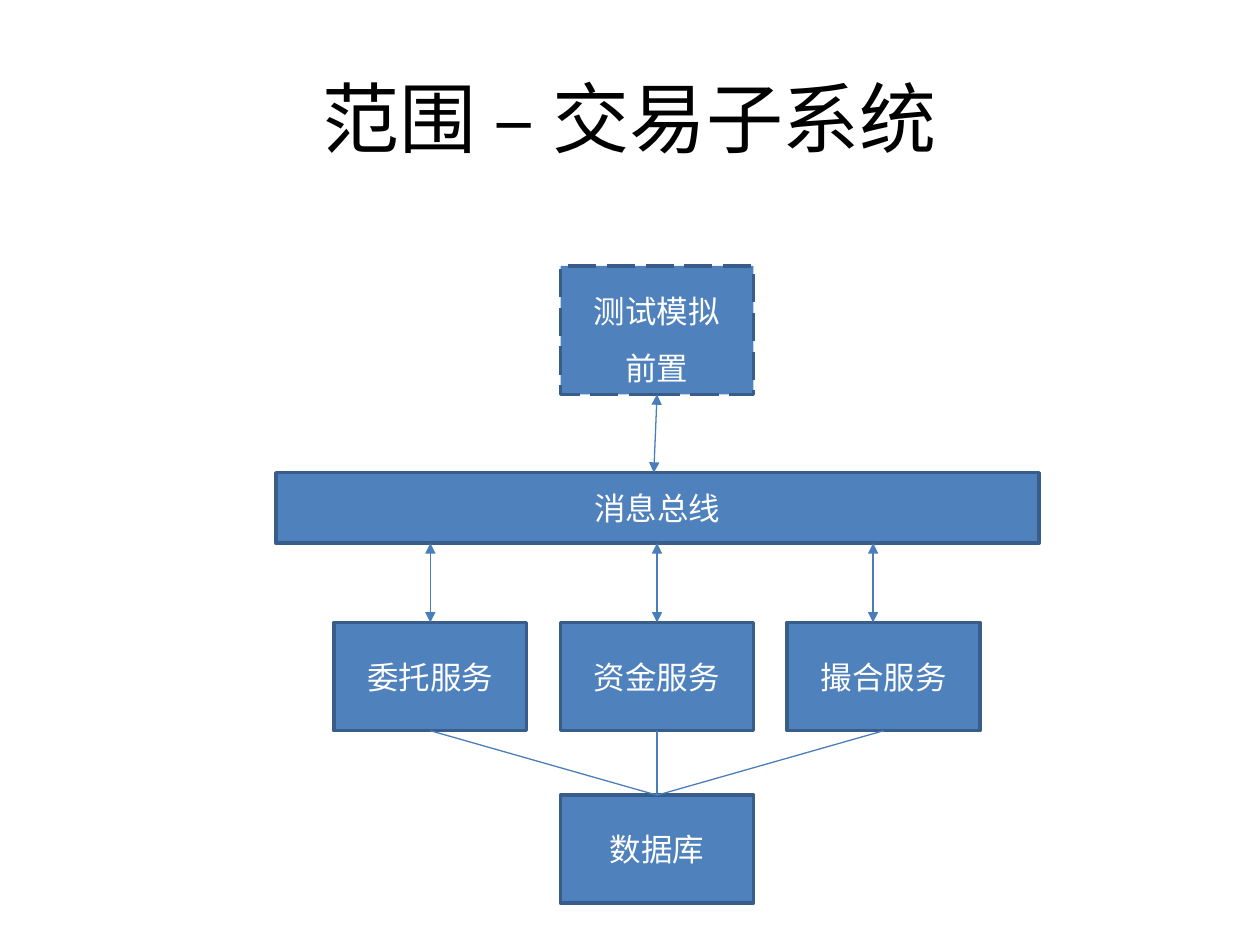
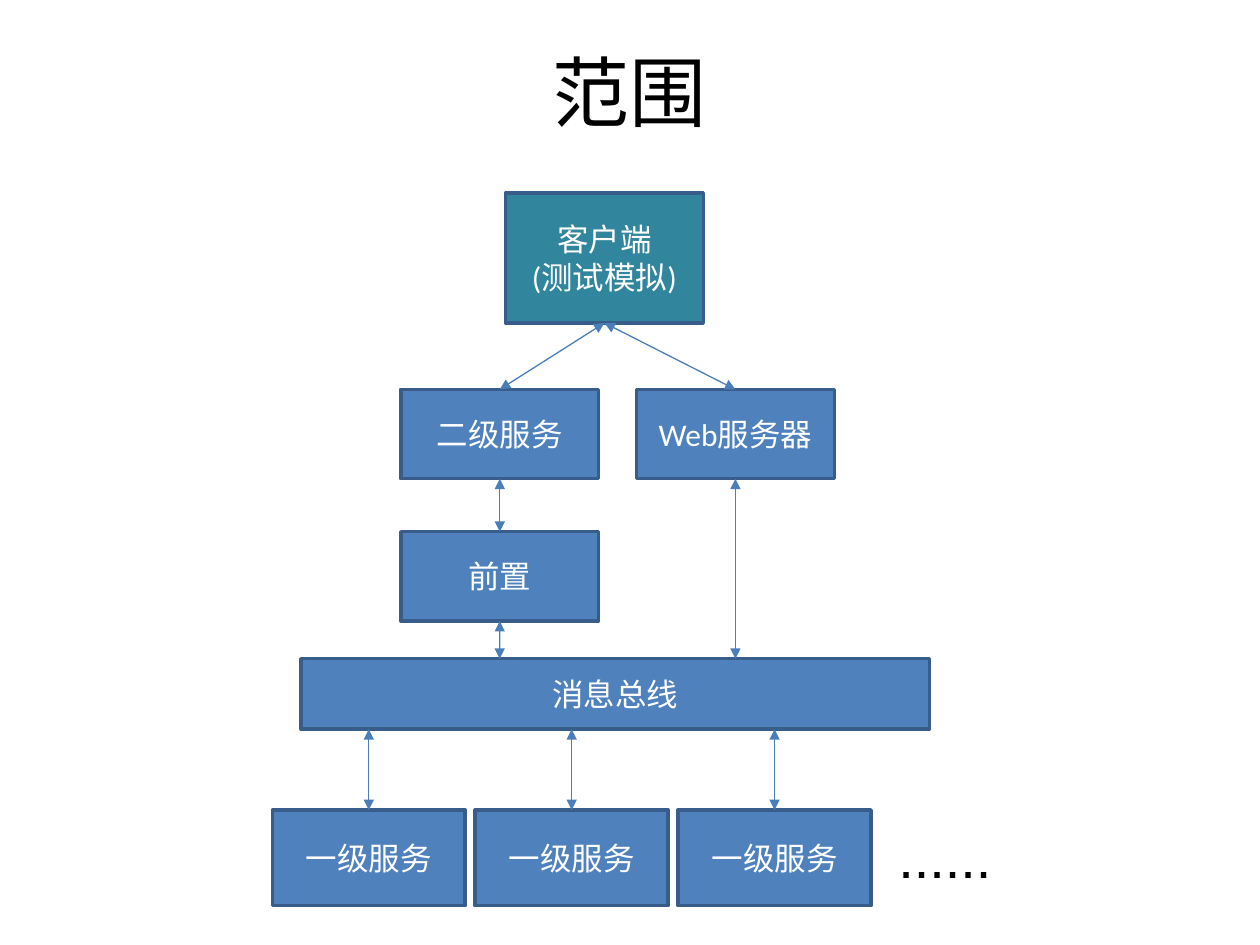
from dataclasses import dataclass
from typing import Optional

from pptx import Presentation, util as u
from pptx.dml.color import RGBColor
from pptx.enum import dml, shapes, text
from pptx.oxml.ns import qn
from pptx.shapes.autoshape import Shape
from pptx.slide import Slide
from pptx.text.text import TextFrame
from lxml import etree

# Shared look
COLORS = {
    "box": "4F81BD",
    "client": "31859C",
    "border": "385D8A",
    "link": "4A7EBB",
    "light": "FFFFFF",
    "dark": "000000",
}
TOP, BOTTOM = 0, 2  # connection sites of a rectangle
SERVICE_WIDTH = 3.89
BUS_HEIGHT = 1.42


@dataclass
class Box:
    """A labelled rectangle; lengths in centimetres."""
    label: str
    left: float
    top: float
    width: float
    height: float
    fill: str = "box"
    dashed: bool = False
    spacing: Optional[float] = None


@dataclass
class End:
    """One end of a link: a box side, or a free point in centimetres."""
    box: Optional[Shape] = None
    side: int = TOP
    x: float = 0
    y: float = 0


def color(name: str) -> RGBColor:
    return RGBColor.from_string(COLORS[name])


def write(frame: TextFrame, content: str, *, size: float = 18, font: str = "Calibri",
          ink: str = "light", align=text.PP_ALIGN.CENTER, anchor=text.MSO_ANCHOR.MIDDLE,
          spacing: Optional[float] = None, wrap: bool = True) -> None:
    frame.word_wrap = wrap
    frame.vertical_anchor = anchor
    for number, line in enumerate(content.split("\n")):
        paragraph = frame.add_paragraph() if number else frame.paragraphs[0]
        paragraph.alignment = align
        paragraph.line_spacing = spacing
        run = paragraph.add_run()
        run.text = line
        run.font.size = u.Pt(size)
        run.font.name = font
        run.font.color.rgb = color(ink)


def add_title(slide: Slide, title: str, height: float) -> None:
    holder = slide.shapes.add_textbox(u.Cm(1.27), u.Cm(0.76), u.Cm(22.86), u.Cm(height))
    write(holder.text_frame, title, size=44, ink="dark")


def add_box(slide: Slide, box: Box) -> Shape:
    rect = slide.shapes.add_shape(
        shapes.MSO_SHAPE.RECTANGLE,
        u.Cm(box.left), u.Cm(box.top), u.Cm(box.width), u.Cm(box.height))
    rect.shadow.inherit = False
    rect.fill.solid()
    rect.fill.fore_color.rgb = color(box.fill)
    rect.line.color.rgb = color("border")
    rect.line.width = u.Pt(2)
    if box.dashed:
        rect.line.dash_style = dml.MSO_LINE.LONG_DASH
    write(rect.text_frame, box.label, spacing=box.spacing)
    return rect


def add_services(slide: Slide, labels: list[str], left: float, top: float,
                 pitch: float, height: float) -> list[Shape]:
    return [add_box(slide, Box(label, left + i * pitch, top, SERVICE_WIDTH, height))
            for i, label in enumerate(labels)]


def add_link(slide: Slide, start: End, end: End, arrows: bool = True) -> None:
    link = slide.shapes.add_connector(
        shapes.MSO_CONNECTOR.STRAIGHT,
        u.Cm(start.x), u.Cm(start.y), u.Cm(end.x), u.Cm(end.y))
    if start.box is not None:
        link.begin_connect(start.box, start.side)
    if end.box is not None:
        link.end_connect(end.box, end.side)
    link.line.color.rgb = color("link")
    link.line.width = u.Pt(0.75)
    if arrows:
        outline = link.line._get_or_add_ln()
        for tag in ("a:headEnd", "a:tailEnd"):
            etree.SubElement(outline, qn(tag), type="triangle")
    etree.SubElement(link._element.spPr, qn("a:effectLst"))


def center_x(box: Shape) -> float:
    return u.Length(box.left + box.width // 2).cm


def link_straight_to(slide: Slide, box: Shape, side: int, y: float) -> None:
    """Run a vertical link from the middle of a box side to height y."""
    add_link(slide, End(box, side), End(x=center_x(box), y=y))


def build_trading_slide(slide: Slide) -> None:
    add_title(slide, "范围 – 交易子系统", 3.18)

    # Boxes
    middle, bus_top, service_top = 11.3, 9.53, 12.55
    bus_bottom = bus_top + BUS_HEIGHT
    add_box(slide, Box("消息总线", 5.56, bus_top, 15.39, BUS_HEIGHT))
    front = add_box(slide, Box("测试模拟\n前置", middle, 5.36, SERVICE_WIDTH, 2.59,
                               dashed=True, spacing=1.5))
    services = add_services(slide, ["委托服务", "资金服务", "撮合服务"],
                            6.73, service_top, 4.57, 2.18)
    database = add_box(slide, Box("数据库", middle, 16.03, SERVICE_WIDTH, 2.18))

    # Links to the bus; the matching service's link sits left of its centre
    add_link(slide, End(front, BOTTOM), End(x=13.18, y=bus_top))
    for service in services[:2]:
        link_straight_to(slide, service, TOP, bus_bottom)
    add_link(slide, End(x=17.6, y=service_top), End(x=17.6, y=bus_bottom))

    # Links to the database
    for service in services:
        add_link(slide, End(service, BOTTOM), End(database, TOP), arrows=False)


def build_scope_slide(slide: Slide) -> None:
    add_title(slide, "范围", 2.13)

    # Boxes
    width, height, left, tier_top = 3.99, 1.8, 8.08, 7.85
    bus_top = 13.28
    add_box(slide, Box("消息总线", 6.07, bus_top, 12.67, BUS_HEIGHT))
    services = add_services(slide, ["一级服务"] * 3, 5.49, 16.33, 4.09, 1.93)
    client = add_box(slide, Box("客户端\n(测试模拟)", 10.19, 3.89, width, 2.62, fill="client"))
    second_tier = add_box(slide, Box("二级服务", left, tier_top, width, height))
    web_server = add_box(slide, Box("Web服务器", 12.83, tier_top, width, height))
    front = add_box(slide, Box("前置", left, 10.72, width, height))

    # More services follow
    more = slide.shapes.add_textbox(u.Cm(17.86), u.Cm(15.77), u.Cm(2.39), u.Cm(2.29))
    write(more.text_frame, "......", size=32, font="Arial", ink="dark", spacing=1.5,
          align=text.PP_ALIGN.LEFT, anchor=text.MSO_ANCHOR.TOP, wrap=False)

    # Links
    for server in (second_tier, web_server):
        add_link(slide, End(client, BOTTOM), End(server, TOP))
    add_link(slide, End(second_tier, BOTTOM), End(front, TOP))
    for box in (front, web_server):
        link_straight_to(slide, box, BOTTOM, bus_top)
    for service in services:
        link_straight_to(slide, service, TOP, bus_top + BUS_HEIGHT)


def main() -> None:
    deck = Presentation()
    deck.slide_width, deck.slide_height = u.Cm(25.4), u.Cm(19.05)
    blank = deck.slide_layouts[6]
    for build in (build_trading_slide, build_scope_slide):
        build(deck.slides.add_slide(blank))
    deck.save("out.pptx")


if __name__ == "__main__":
    main()
